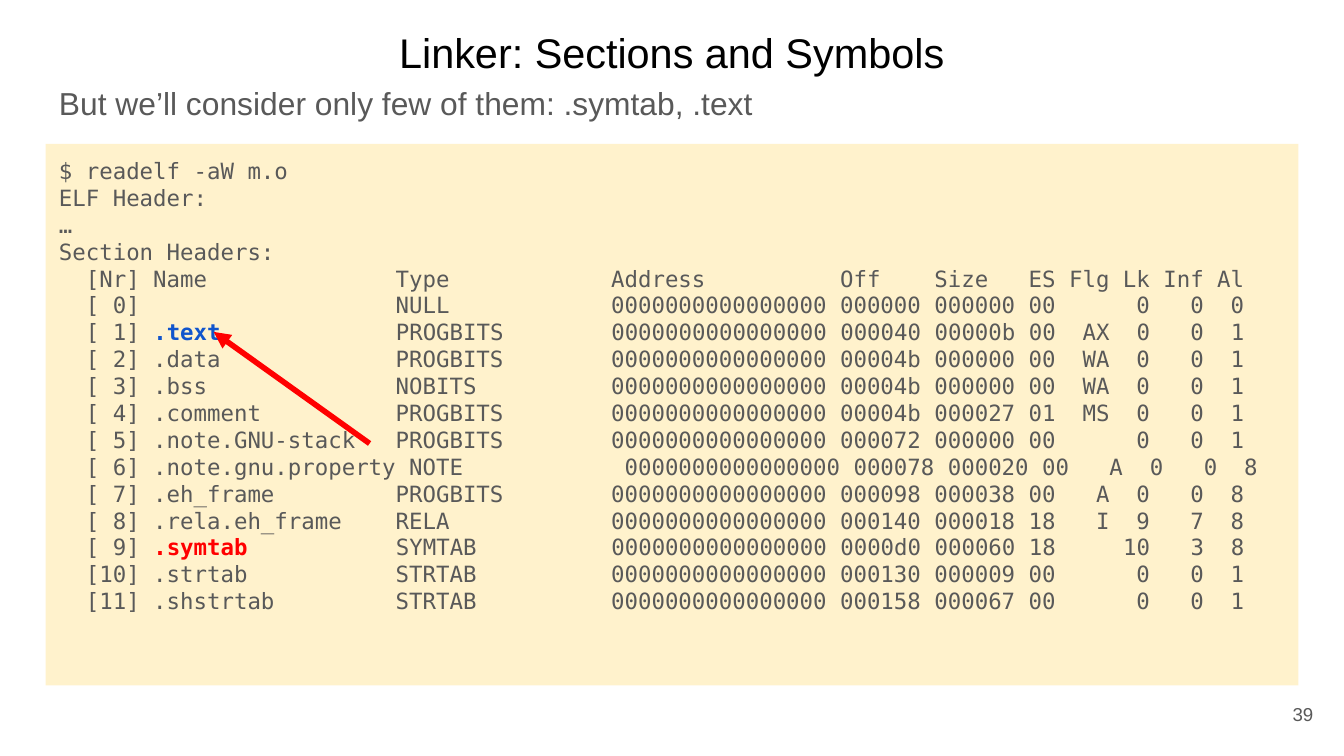
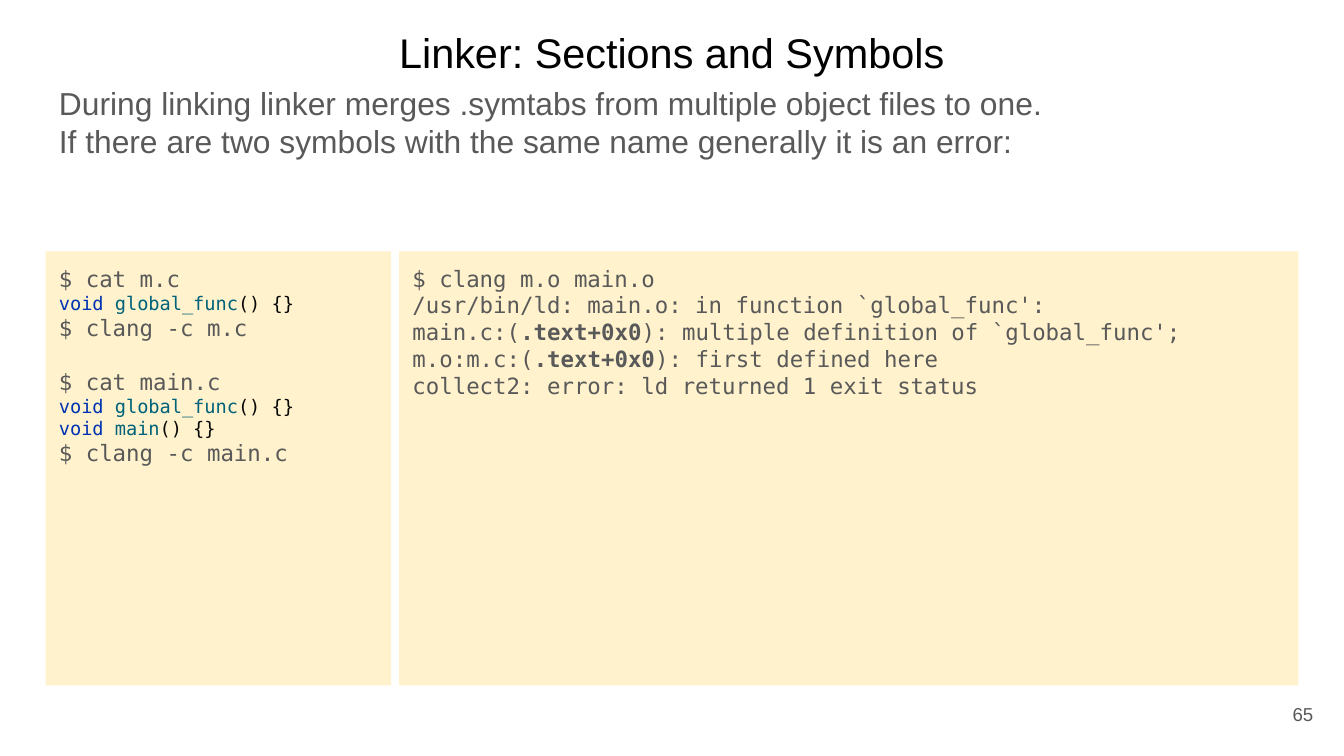
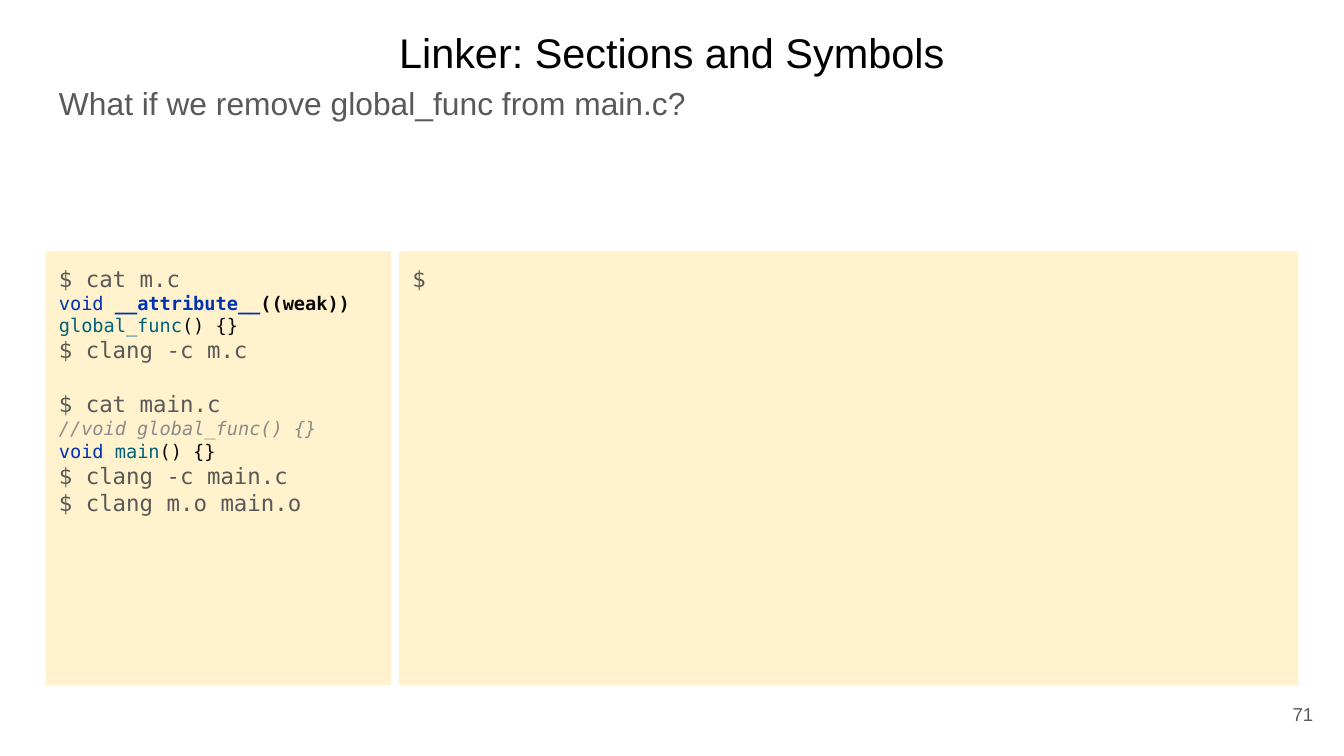
from pptx import Presentation
from pptx.dml.color import RGBColor
from pptx.enum.shapes import MSO_CONNECTOR, MSO_SHAPE
from pptx.enum.text import MSO_ANCHOR, PP_ALIGN
from pptx.oxml.ns import qn
from pptx.util import Inches, Pt
from lxml import etree

RECTANGLE = MSO_SHAPE.RECTANGLE
STRAIGHT = MSO_CONNECTOR.STRAIGHT
TOP, MIDDLE, BOTTOM = MSO_ANCHOR.TOP, MSO_ANCHOR.MIDDLE, MSO_ANCHOR.BOTTOM
LEFT, CENTER, RIGHT = PP_ALIGN.LEFT, PP_ALIGN.CENTER, PP_ALIGN.RIGHT

SANS, MONO = "Arial", "DejaVu Sans Mono"
BLACK, GRAY, RED, CREAM = "000000", "595959", "FF0000", "FFF2CC"
INK, KEYWORD, FUNCTION, COMMENT = "080808", "0033B3", "00627A", "8C8C8C"
SECTION_BLUE = "1155CC"

TITLE = "Linker: Sections and Symbols"
MARGIN, CONTENT_WIDTH, PANEL_BOTTOM = 0.34, 9.32, 5.1
SOURCE_WIDTH, PANEL_GAP, SPLIT_TOP = 2.57, 0.06, 1.87
SHELL_SIZE, SOURCE_SIZE, BLANK_LINE = 12, 10, 14.4

SECTION_LISTING = [
    "$ readelf -aW m.o",
    "ELF Header:",
    "…",
    "Section Headers:",
    "  [Nr] Name              Type            Address          Off    Size   ES Flg Lk Inf Al",
    "  [ 0]                   NULL            0000000000000000 000000 000000 00      0   0  0",
    [("  [ 1] ", GRAY), (".text", SECTION_BLUE, "bold"),
     ("             PROGBITS        0000000000000000 000040 00000b 00  AX  0   0  1", GRAY)],
    "  [ 2] .data             PROGBITS        0000000000000000 00004b 000000 00  WA  0   0  1",
    "  [ 3] .bss              NOBITS          0000000000000000 00004b 000000 00  WA  0   0  1",
    "  [ 4] .comment          PROGBITS        0000000000000000 00004b 000027 01  MS  0   0  1",
    "  [ 5] .note.GNU-stack   PROGBITS        0000000000000000 000072 000000 00      0   0  1",
    "  [ 6] .note.gnu.property NOTE            0000000000000000 000078 000020 00   A  0   0  8",
    "  [ 7] .eh_frame         PROGBITS        0000000000000000 000098 000038 00   A  0   0  8",
    "  [ 8] .rela.eh_frame    RELA            0000000000000000 000140 000018 18   I  9   7  8",
    [("  [ 9] ", GRAY), (".symtab", RED, "bold"),
     ("           SYMTAB          0000000000000000 0000d0 000060 18     10   3  8", GRAY)],
    "  [10] .strtab           STRTAB          0000000000000000 000130 000009 00      0   0  1",
    "  [11] .shstrtab         STRTAB          0000000000000000 000158 000067 00      0   0  1",
]


def color(hex_code):
    """Turn a hex string into a colour."""
    return RGBColor.from_string(hex_code)


def set_font(font, name, size, hex_code):
    """Set the face, size and colour of a font."""
    font.name, font.size = name, Pt(size)
    font.color.rgb = color(hex_code)


def prepare_frame(shape, anchor):
    """Give a shape's text frame its margins, wrapping and anchor."""
    frame = shape.text_frame
    frame.word_wrap = True
    frame.vertical_anchor = anchor
    frame.margin_left = frame.margin_right = Inches(0.1)
    frame.margin_top = frame.margin_bottom = Inches(0.1)
    return frame


def next_paragraph(frame, index):
    """Return the first paragraph of a frame, or a new one after it."""
    return frame.add_paragraph() if index else frame.paragraphs[0]


def add_text(page, area, lines, size, hex_code, align=LEFT, anchor=TOP, spacing=None):
    """Add a text box with one paragraph per line."""
    box = page.shapes.add_textbox(*map(Inches, area))
    frame = prepare_frame(box, anchor)
    for index, line in enumerate(lines):
        para = next_paragraph(frame, index)
        para.text = line
        para.alignment = align
        para.line_spacing = spacing
        set_font(para.font, SANS, size, hex_code)


def declare(name, arguments=()):
    """Return the coloured spans of an empty C function."""
    return [("void ", KEYWORD), *arguments, (name, FUNCTION), ("() {}", INK)]


def add_spans(para, spans, size):
    """Fill a paragraph with coloured spans of (text, colour, styles)."""
    para.font.name, para.font.size = MONO, Pt(size)
    for text, hex_code, *styles in spans:
        span = para.add_run()
        span.text = text
        set_font(span.font, MONO, size, hex_code)
        span.font.bold = "bold" in styles
        span.font.italic = "italic" in styles


def add_code_panel(page, left, top, width, lines, span_size=SHELL_SIZE):
    """Add a cream panel of code, where an empty line is a gap."""
    panel = page.shapes.add_shape(
        RECTANGLE, *map(Inches, (left, top, width, PANEL_BOTTOM - top)))
    panel.shadow.inherit = False
    panel.fill.solid()
    panel.fill.fore_color.rgb = color(CREAM)
    panel.line.fill.background()
    frame = prepare_frame(panel, TOP)
    gap = 0
    for index, line in enumerate(lines):
        if not line:
            gap = BLANK_LINE
            continue
        para = next_paragraph(frame, index)
        para.alignment = LEFT
        para.space_before = Pt(gap)
        gap = 0
        if isinstance(line, str):
            para.text = line
            set_font(para.font, MONO, SHELL_SIZE, GRAY)
        else:
            add_spans(para, line, span_size)


def add_split_panels(page, source_lines, output_lines):
    """Place a source panel beside an output panel."""
    output_left = MARGIN + SOURCE_WIDTH + PANEL_GAP
    add_code_panel(page, MARGIN, SPLIT_TOP, SOURCE_WIDTH, source_lines, SOURCE_SIZE)
    add_code_panel(page, output_left, SPLIT_TOP,
                   MARGIN + CONTENT_WIDTH - output_left, output_lines)


def add_arrow(page, start, end):
    """Draw a red arrow between two points."""
    arrow = page.shapes.add_connector(STRAIGHT, *map(Inches, (*start, *end)))
    arrow.line.color.rgb = color(RED)
    arrow.line.width = Pt(3)
    outline = arrow._element.spPr.find(qn("a:ln"))
    etree.SubElement(outline, qn("a:tailEnd"), type="triangle")
    etree.SubElement(arrow._element.spPr, qn("a:effectLst"))


def add_page(deck, number, intro):
    """Add a page with the shared title, an intro and its number."""
    page = deck.slides.add_slide(deck.slide_layouts[6])
    page.background.fill.solid()
    page.background.fill.fore_color.rgb = color("FFFFFF")
    add_text(page, (MARGIN, 0.52, 9.52, 4.89), intro, 17, GRAY)
    add_text(page, (MARGIN, 0.15, CONTENT_WIDTH, 0.52), [TITLE], 22.2, BLACK,
             CENTER, BOTTOM, 0.8)
    add_text(page, (9.27, 5.1, 0.6, 0.43), [str(number)], 10, GRAY, RIGHT, MIDDLE)
    return page


def main():
    """Build and save the deck."""
    deck = Presentation()
    deck.slide_width = Inches(10)
    deck.slide_height = deck.slide_width * 9 // 16

    page = add_page(deck, 39, ["But we’ll consider only few of them: .symtab, .text"])
    add_code_panel(page, MARGIN, 1.07, CONTENT_WIDTH, SECTION_LISTING)
    add_arrow(page, (2.75, 3.3), (1.59, 2.47))

    page = add_page(deck, 65, [
        "During linking linker merges .symtabs from multiple object files to one.",
        "If there are two symbols with the same name generally it is an error:"])
    add_split_panels(
        page,
        ["$ cat m.c", declare("global_func"), "$ clang -c m.c", "",
         "$ cat main.c", declare("global_func"), declare("main"), "$ clang -c main.c"],
        ["$ clang m.o main.o",
         "/usr/bin/ld: main.o: in function `global_func':",
         [("main.c:(", GRAY), (".text+0x0", GRAY, "bold"),
          ("): multiple definition of `global_func'; m.o:m.c:(", GRAY),
          (".text+0x0", GRAY, "bold"), ("): first defined here", GRAY)],
         "collect2: error: ld returned 1 exit status"])

    page = add_page(deck, 71, ["What if we remove global_func from main.c?"])
    weak = [("__attribute__", KEYWORD, "bold"), ("((weak))", INK, "bold"), (" ", INK)]
    add_split_panels(
        page,
        ["$ cat m.c", declare("global_func", weak), "$ clang -c m.c", "",
         "$ cat main.c", [("//void global_func() {}", COMMENT, "italic")],
         declare("main"), "$ clang -c main.c", "$ clang m.o main.o"],
        ["$"])

    deck.save("out.pptx")


if __name__ == "__main__":
    main()
